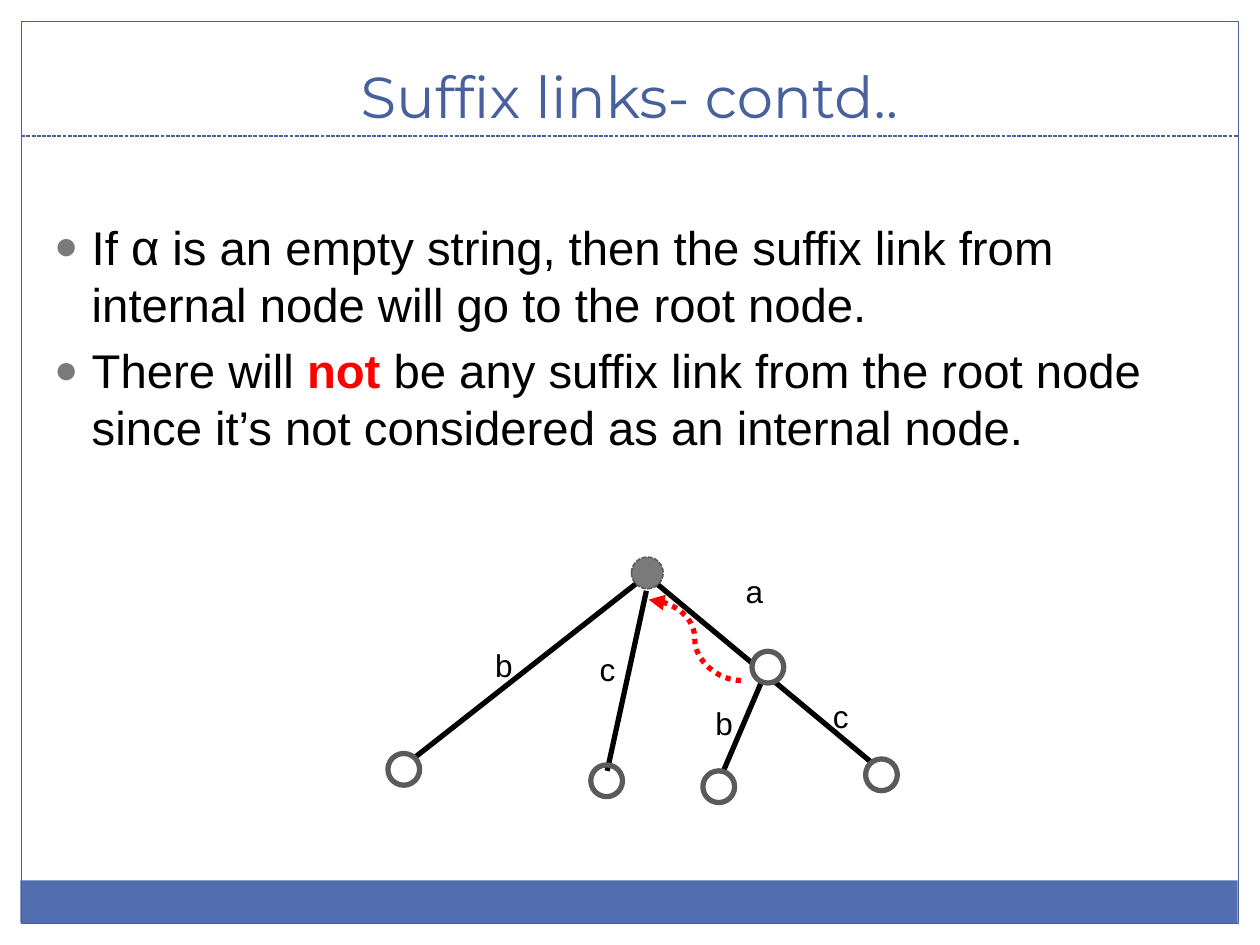
import pptx
import pptx.util
import pptx.dml.color
import pptx.enum.dml
import pptx.enum.shapes
import pptx.enum.text
import pptx.oxml

Cm, Pt = pptx.util.Cm, pptx.util.Pt
RGB = pptx.dml.color.RGBColor
SHAPE = pptx.enum.shapes.MSO_SHAPE
LINK = pptx.enum.shapes.MSO_CONNECTOR
DASH = pptx.enum.dml.MSO_LINE
ALIGN = pptx.enum.text.PP_ALIGN
ANCHOR = pptx.enum.text.MSO_ANCHOR

BLUE = RGB(0x48, 0x60, 0x9B)
BAND = RGB(0x52, 0x6D, 0xB0)
GRAY = RGB(0x7A, 0x7A, 0x7A)
RIM = RGB(0x5A, 0x5A, 0x5A)
BLACK = RGB(0, 0, 0)
WHITE = RGB(255, 255, 255)
RED = RGB(255, 0, 0)
NODE = 0.64


def add_xml(parent, tag, **attrs):
    node = pptx.oxml.parse_xml(
        f'<a:{tag} xmlns:a="http://schemas.openxmlformats.org/drawingml/2006/main"/>')
    for name, value in attrs.items():
        node.set(name, value)
    parent.append(node)
    return node


def write(par, text, font="Arial", size=27, color=BLACK, bold=False):
    run = par.add_run()
    run.text = text
    run.font.name = font
    run.font.size = Pt(size)
    run.font.color.rgb = color
    run.font.bold = bold


class Deck:
    """Hold the style and the current slide, and draw each kind of element."""

    def __init__(self):
        self.prs = pptx.Presentation()
        self.prs.slide_width, self.prs.slide_height = Cm(25.4), Cm(19.05)
        self.slide = self.prs.slides.add_slide(self.prs.slide_layouts[6])

    def shape(self, kind, left, top, width, height, fill=None, line=None,
              weight=0.75, dash=None):
        item = self.slide.shapes.add_shape(
            kind, Cm(left), Cm(top), Cm(width), Cm(height))
        item.shadow.inherit = False
        if fill is None:
            item.fill.background()
        else:
            item.fill.solid()
            item.fill.fore_color.rgb = fill
        if line is None:
            item.line.fill.background()
        else:
            item.line.color.rgb = line
            item.line.width = Pt(weight)
            item.line.dash_style = dash
        return item

    def node(self, left, top, fill=WHITE, weight=3, dash=None):
        return self.shape(SHAPE.OVAL, left, top, NODE, NODE, fill, RIM, weight, dash)

    def line(self, start, end, color=BLACK, weight=3, dash=None,
             kind=LINK.STRAIGHT, arrow=False):
        item = self.slide.shapes.add_connector(
            kind, *(Cm(n) for n in start + end))
        item.line.color.rgb = color
        item.line.width = Pt(weight)
        item.line.dash_style = dash
        if arrow:
            add_xml(item.line._get_or_add_ln(), "tailEnd", type="triangle")
        add_xml(item._element.spPr, "effectLst")
        return item

    def box(self, left, top, width, height, wrap=True, anchor=ANCHOR.TOP):
        frame = self.slide.shapes.add_textbox(
            Cm(left), Cm(top), Cm(width), Cm(height)).text_frame
        frame.word_wrap = wrap
        frame.vertical_anchor = anchor
        return frame

    def title(self, text):
        par = self.box(0.84, 0.64, 23.7, 2.1, anchor=ANCHOR.BOTTOM).paragraphs[0]
        par.alignment = ALIGN.CENTER
        write(par, text, font="Montserrat", size=33, color=BLUE)

    def label(self, text, left, top):
        write(self.box(left, top, 0.85, 1.02, wrap=False).paragraphs[0], text, size=18)

    def bullets(self, items):
        frame = self.box(0.84, 4.24, 23.62, 12.7)
        for i, parts in enumerate(items):
            par = frame.add_paragraph() if i else frame.paragraphs[0]
            par.space_before = Pt(5.4)
            props = par._p.get_or_add_pPr()
            props.set("marL", str(Cm(0.76)))
            props.set("indent", str(-Cm(0.76)))
            add_xml(add_xml(props, "buClr"), "srgbClr", val=str(GRAY))
            add_xml(props, "buSzPct", val="85000")
            add_xml(props, "buFont", typeface="Arial")
            add_xml(props, "buChar", char="●")
            for text, style in parts:
                write(par, text, **style)


def main():
    deck = Deck()
    deck.shape(SHAPE.RECTANGLE, 0.41, 17.75, 24.54, 0.86, fill=BAND)
    deck.shape(SHAPE.RECTANGLE, 0.43, 0.43, 24.54, 18.19, line=BLUE)
    deck.line((0.43, 2.74), (24.97, 2.74), BLUE, 0.75, DASH.SQUARE_DOT)

    deck.title("Suffix links- contd..")
    deck.bullets([
        [("If ", {}), ("α", {"size": 28}),
         (" is an empty string, then the suffix link from internal node "
          "will go to the root node.", {})],
        [("There will ", {}), ("not", {"color": RED, "bold": True}),
         (" be any suffix link from the root node since it’s not "
          "considered as an internal node.", {})],
    ])

    edges = [((12.83, 11.76), (8.36, 15.27)), ((13.23, 11.76), (17.63, 15.42)),
             ((15.34, 13.77), (14.43, 15.9)), ((13.03, 11.91), (12.24, 15.54))]
    for start, end in edges:
        deck.line(start, end)

    deck.node(12.73, 11.23, GRAY, 0.9, DASH.SQUARE_DOT)
    for left, top in [(7.82, 15.19), (15.16, 13.13), (14.17, 15.54), (17.45, 15.3)]:
        deck.node(left, top)
    deck.node(11.91, 15.42, fill=None)

    for text, left, top in [("a", 14.78, 11.4), ("b", 9.73, 12.9), ("c", 11.84, 12.98),
                            ("b", 14.17, 14.07), ("c", 16.54, 13.92)]:
        deck.label(text, left, top)

    deck.line((14.94, 13.72), (13.08, 12.09), RED, 3, DASH.ROUND_DOT,
              LINK.CURVE, arrow=True)
    deck.prs.save("out.pptx")


if __name__ == "__main__":
    main()
